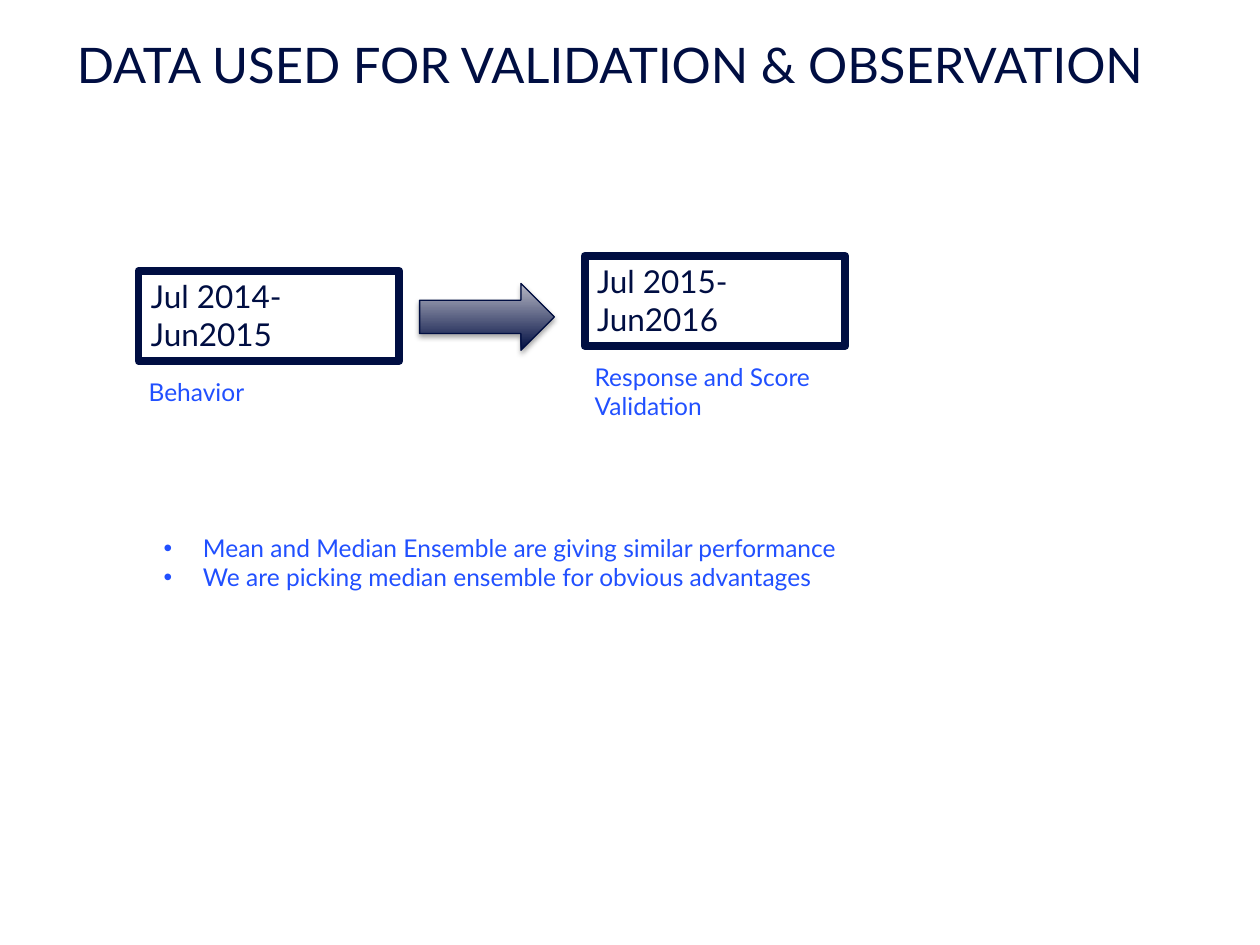
from lxml import etree
from pptx import Presentation
from pptx.dml.color import RGBColor
from pptx.enum import shapes, text
from pptx.oxml import ns
from pptx.util import Pt

NAVY = RGBColor(0x00, 0x0E, 0x42)
EDGE = RGBColor(0x00, 0x0E, 0x41)
BLUE = RGBColor(0x21, 0x50, 0xFF)
GREY = RGBColor(0xB8, 0xB8, 0xC5)
FONT = "Lato"

TITLE = "DATA USED FOR VALIDATION & OBSERVATION"
STEPS = [
    ("Jul 2014- Jun2015", "Behavior", 79.2, 154.8, 24.5),
    ("Jul 2015- Jun2016", "Response and Score Validation", 334.1, 146.2, 41),
]
NOTES = [
    "Mean and Median Ensemble are giving similar performance",
    "We are picking median ensemble for obvious advantages",
]
BOX_W, BOX_H = 149, 51.5
LABEL_W, LABEL_DX, LABEL_DY = 159, -1.4, 57.2
INDENT = 22.5


def write(frame, lines, size, color):
    frame.word_wrap = True
    frame.auto_size = text.MSO_AUTO_SIZE.NONE
    frame.vertical_anchor = text.MSO_ANCHOR.TOP
    for i, line in enumerate(lines):
        para = frame.add_paragraph() if i else frame.paragraphs[0]
        para.alignment = text.PP_ALIGN.LEFT
        run = para.add_run()
        run.text = line
        run.font.size = Pt(size)
        run.font.name = FONT
        run.font.bold = False
        run.font.color.rgb = color


def add_text(slide, box, lines):
    label = slide.shapes.add_textbox(*map(Pt, box))
    write(label.text_frame, lines, 14, BLUE)
    return label.text_frame


def add_shape(slide, kind, box, color, width):
    shape = slide.shapes.add_shape(kind, *map(Pt, box))
    shape.shadow.inherit = False
    shape.line.color.rgb = color
    shape.line.width = Pt(width)
    return shape


def add_step(slide, dates, label, x, y, height):
    box = add_shape(slide, shapes.MSO_SHAPE.RECTANGLE,
                    (x, y, BOX_W, BOX_H), NAVY, 4.5)
    box.fill.background()
    write(box.text_frame, [dates], 18, NAVY)
    add_text(slide, (x + LABEL_DX, y + LABEL_DY, LABEL_W, height), [label])


def add_arrow(slide):
    arrow = add_shape(slide, shapes.MSO_SHAPE.RIGHT_ARROW,
                      (239.8, 162, 77, 38.2), EDGE, 0.75)
    arrow.fill.gradient()
    arrow.fill.gradient_angle = 90
    for stop, color, place in zip(arrow.fill.gradient_stops, (NAVY, GREY), (0, 1)):
        stop.color.rgb = color
        stop.position = place
    effects = arrow.element.spPr.find(ns.qn("a:effectLst"))
    shade = etree.SubElement(effects, ns.qn("a:outerShdw"), blurRad=str(Pt(3.1)),
                             dist=str(Pt(1.8)), dir="5400000", rotWithShape="0")
    black = etree.SubElement(shade, ns.qn("a:srgbClr"), val="000000")
    etree.SubElement(black, ns.qn("a:alpha"), val="35000")


def add_notes(slide):
    frame = add_text(slide, (86.4, 301, 549.4, 41), NOTES)
    for para in frame.paragraphs:
        props = para._p.get_or_add_pPr()
        props.set("marL", str(Pt(INDENT)))
        props.set("indent", str(Pt(-INDENT)))
        etree.SubElement(props, ns.qn("a:buFont"), typeface="Arial")
        etree.SubElement(props, ns.qn("a:buChar"), char="•")


def main():
    deck = Presentation()
    deck.slide_width, deck.slide_height = Pt(720), Pt(540)
    slide = deck.slides.add_slide(deck.slide_layouts[5])
    title = slide.shapes.title
    title.left, title.top, title.width, title.height = map(Pt, (36.7, 23.8, 640.8, 48.2))
    write(title.text_frame, [TITLE], 28, NAVY)
    title.text_frame.paragraphs[0].line_spacing = 0.75
    add_step(slide, *STEPS[0])
    add_arrow(slide)
    add_step(slide, *STEPS[1])
    add_notes(slide)
    deck.save("out.pptx")


if __name__ == "__main__":
    main()
